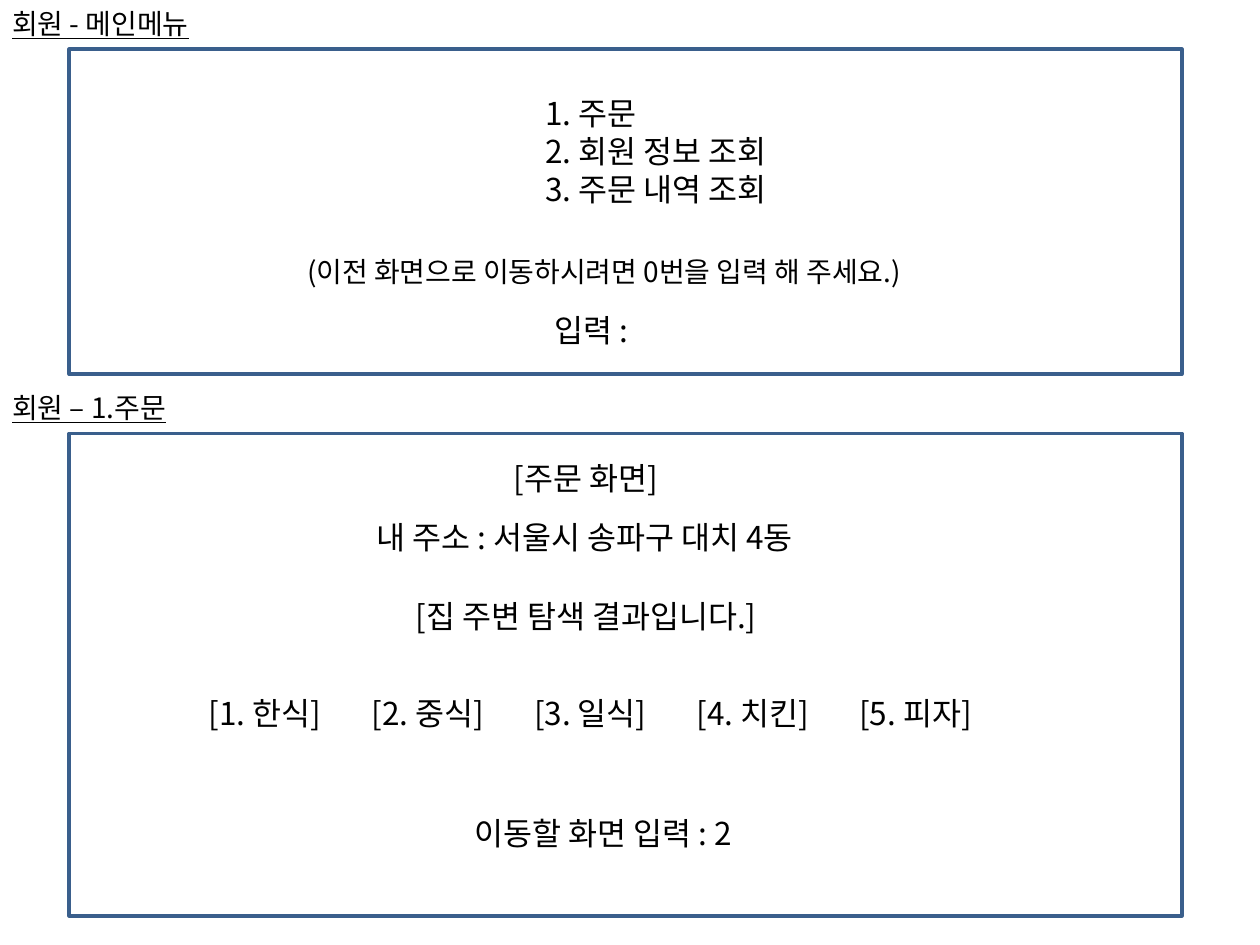
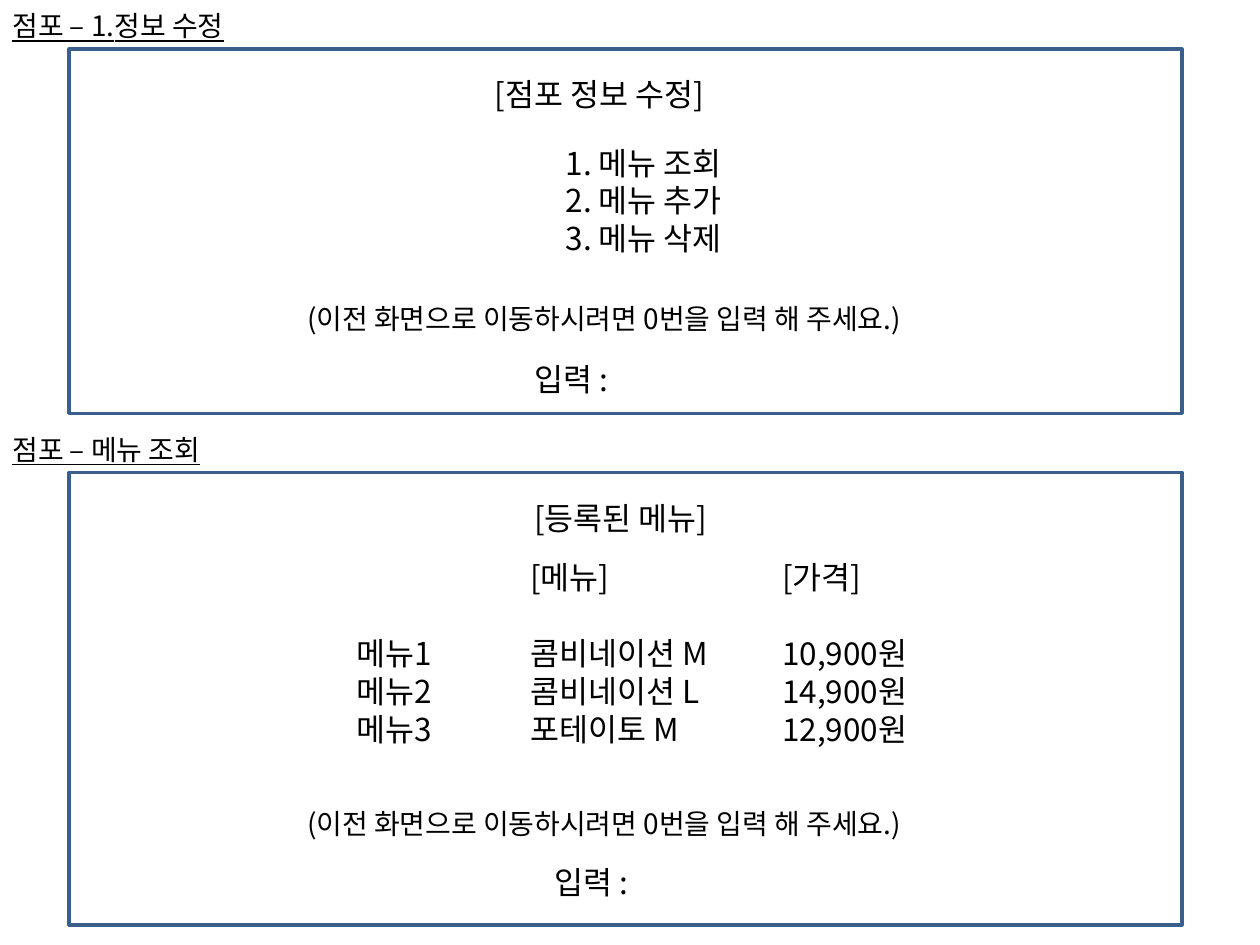
"""Build two slides of console screen mock-ups for members and shops."""
from lxml import etree
from pptx import Presentation
from pptx import util as u
from pptx.dml.color import RGBColor
from pptx.enum import shapes, text
from pptx.oxml.ns import qn

COLORS = {"border": "3A5F8C", "ink": "000000"}
FONT = "Noto Sans CJK KR"
PANEL_LEFT, PANEL_WIDTH = 0.55, 8.83
LIST_INDENT, HANGING = 3.37, 0.38
CATEGORY_PITCH = 1.29
BACK_NOTE = "(이전 화면으로 이동하시려면 0번을 입력 해 주세요.)"
CATEGORIES = ["한식", "중식", "일식", "치킨", "피자"]
MENU_ROWS = [
    ("", "", "[메뉴]", "", "[가격]"),
    ("메뉴1", "콤비네이션 M", "10,900원"),
    ("메뉴2", "콤비네이션 L", "14,900원"),
    ("메뉴3", "포테이토 M", "12,900원"),
]


def numbered(items, pattern="{}. {}"):
    return [pattern.format(number, item) for number, item in enumerate(items, 1)]


SLIDES = [
    [
        {"title": ("회원 - 메인메뉴", 0, 2.66), "panel": (0.39, 2.58), "texts": [
            (numbered(["주문", "회원 정보 조회", "주문 내역 조회"]),
             (0.86, 0.7, 7.42), {"indent": LIST_INDENT}),
            ([BACK_NOTE], (2.34, 1.97, 5.94), {"size": 16}),
            (["입력 :"], (4.3, 2.42, 2.58), {}),
        ]},
        {"title": ("회원 – 1.주문", 3.05, 2.66), "panel": (3.44, 3.83), "texts": [
            (["[주문 화면]"], (3.98, 3.59, 3.13), {}),
            (["내 주소 : 서울시 송파구 대치 4동"], (2.89, 4.06, 6.09), {}),
            (["[집 주변 탐색 결과입니다.]"], (3.2, 4.69, 6.09), {}),
            (["\t".join(numbered(CATEGORIES, "[{}. {}]"))],
             (1.56, 5.46, 7.03), {"tab_pitch": CATEGORY_PITCH}),
            (["이동할 화면 입력 : 2"], (3.67, 6.41, 2.58), {}),
        ]},
    ],
    [
        {"title": ("점포 – 1.정보 수정", 0.02, 2.89), "panel": (0.39, 2.89), "texts": [
            (["[점포 정보 수정]"], (3.83, 0.55, 2.66), {}),
            (numbered(["메뉴 조회", "메뉴 추가", "메뉴 삭제"]),
             (1.02, 1.09, 7.42), {"indent": LIST_INDENT}),
            ([BACK_NOTE], (2.34, 2.34, 5.94), {"size": 16}),
            (["입력 :"], (4.14, 2.81, 2.58), {}),
        ]},
        {"title": ("점포 – 메뉴 조회", 3.38, 2.89), "panel": (3.75, 3.59), "texts": [
            (["[등록된 메뉴]"], (4.14, 3.91, 2.66), {}),
            (["\t".join(row) for row in MENU_ROWS],
             (2.73, 4.38, 5.16),
             {"indent": HANGING, "first_line": -HANGING, "header_gap": 21.8}),
            ([BACK_NOTE], (2.34, 6.35, 5.94), {"size": 16}),
            (["입력 :"], (4.3, 6.8, 2.58), {}),
        ]},
    ],
]


def add_text(slide, lines, place, size=18, underline=False, indent=0, first_line=0,
             tab_pitch=1, header_gap=0):
    left, top, width = place
    height = 0.1 + len(lines) * size / 60 + header_gap / 72
    box = slide.shapes.add_textbox(*map(u.Inches, (left, top, width, height)))
    frame = box.text_frame
    frame.word_wrap = True
    frame.auto_size = text.MSO_AUTO_SIZE.SHAPE_TO_FIT_TEXT
    for index, line in enumerate(lines):
        paragraph = frame.paragraphs[0] if index == 0 else frame.add_paragraph()
        if header_gap and index == 1:
            paragraph.space_before = u.Pt(header_gap)
        properties = paragraph._p.get_or_add_pPr()
        measures = {"marL": indent, "indent": first_line, "defTabSz": tab_pitch}
        for name, inches in measures.items():
            properties.set(name, str(u.Inches(inches)))
        run = paragraph.add_run()
        run.text = line
        font = run.font
        font.name, font.size = FONT, u.Pt(size)
        font.underline = underline or None
        font.color.rgb = RGBColor.from_string(COLORS["ink"])
        etree.SubElement(run._r.get_or_add_rPr(), qn("a:ea"), typeface=FONT)


def add_panel(slide, top, height):
    panel = slide.shapes.add_shape(
        shapes.MSO_SHAPE.RECTANGLE,
        *map(u.Inches, (PANEL_LEFT, top, PANEL_WIDTH, height)))
    panel.shadow.inherit = False
    panel.fill.background()
    panel.line.color.rgb = RGBColor.from_string(COLORS["border"])
    panel.line.width = u.Pt(2)


presentation = Presentation()
presentation.slide_width, presentation.slide_height = u.Inches(10), u.Inches(7.5)
for screens in SLIDES:
    slide = presentation.slides.add_slide(presentation.slide_layouts[6])
    for screen in screens:
        title, title_top, title_width = screen["title"]
        add_panel(slide, *screen["panel"])
        add_text(slide, [title], (0, title_top, title_width), size=16, underline=True)
        for lines, place, style in screen["texts"]:
            add_text(slide, lines, place, **style)
presentation.save("out.pptx")
